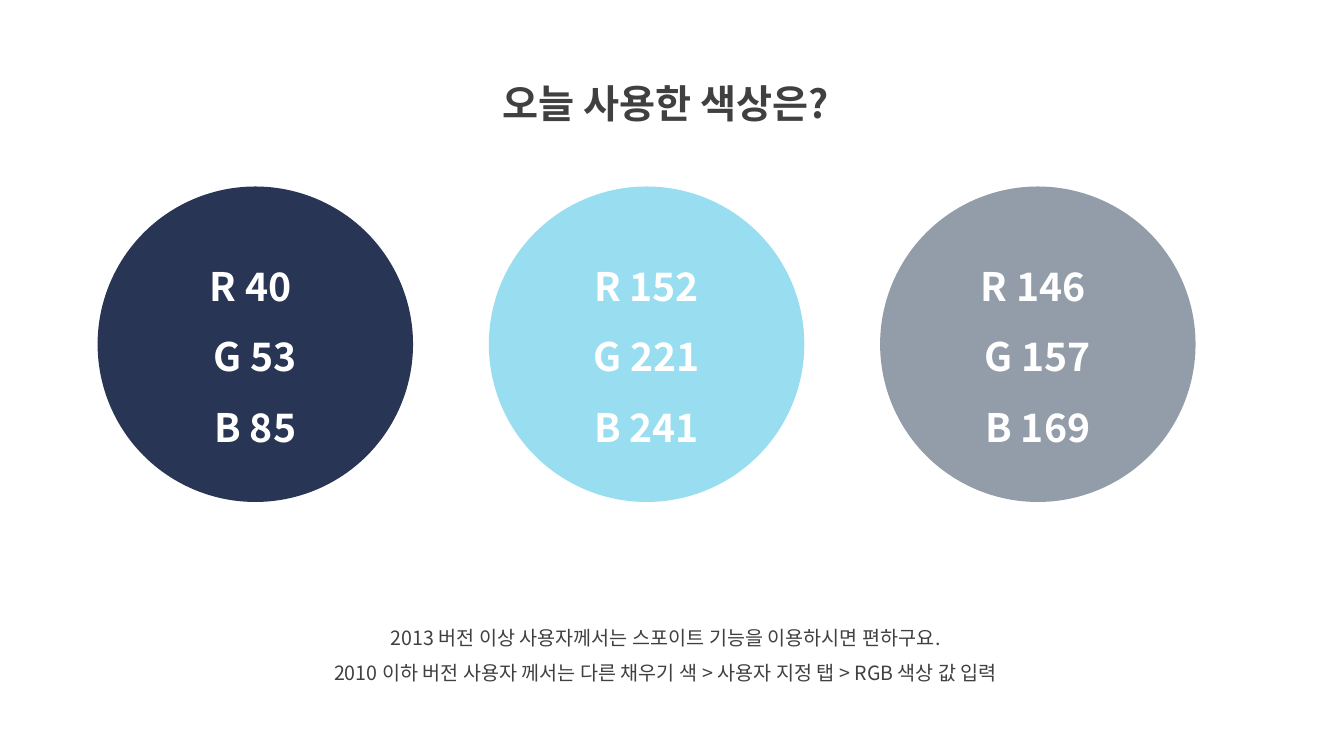
from dataclasses import dataclass

from lxml import etree
from pptx import Presentation, util as u
from pptx.dml.color import RGBColor
from pptx.enum import shapes, text
from pptx.oxml import ns


@dataclass(frozen=True)
class Theme:
    font: str = "Noto Sans CJK KR"
    ink: str = "404040"
    white: str = "FFFFFF"
    navy: str = "283555"
    sky: str = "98DDF0"
    gray: str = "929DA9"
    large: int = 28
    small: int = 14
    line_spacing: float = 1.5


THEME = Theme()

# Circle row, in centimetres
CIRCLE_LEFT, CIRCLE_TOP = 2.46, 4.7
CIRCLE_SIZE, CIRCLE_PITCH = 7.95, 9.86

SWATCHES = [
    (THEME.navy, ["R 40 ", "G 53", "B 85"]),
    (THEME.sky, ["R 152", "G 221", "B 241"]),
    (THEME.gray, ["R 146 ", "G 157", "B 169"]),
]
NOTES = [
    "2013 버전 이상 사용자께서는 스포이트 기능을 이용하시면 편하구요.",
    "2010 이하 버전 사용자 께서는 다른 채우기 색 > 사용자 지정 탭 > RGB 색상 값 입력",
]


def write_lines(frame, lines, size, color, bold):
    """Fill a text frame with one centred paragraph per line."""
    frame.word_wrap = True
    for index, line in enumerate(lines):
        paragraph = frame.add_paragraph() if index else frame.paragraphs[0]
        paragraph.alignment = text.PP_ALIGN.CENTER
        paragraph.line_spacing = THEME.line_spacing
        run = paragraph.add_run()
        run.text = line
        run.font.name = THEME.font
        run.font.size = u.Pt(size)
        run.font.bold = bold
        run.font.color.rgb = RGBColor.from_string(color)
        # Korean glyphs take the East Asian typeface
        east_asian = etree.SubElement(run.font._element, ns.qn("a:ea"))
        east_asian.set("typeface", THEME.font)


def add_text(slide, box, lines, size, bold=False):
    shape = slide.shapes.add_textbox(*(u.Cm(length) for length in box))
    write_lines(shape.text_frame, lines, size, THEME.ink, bold)
    shape.text_frame.auto_size = text.MSO_AUTO_SIZE.SHAPE_TO_FIT_TEXT


def add_swatch(slide, left, color, lines):
    shape = slide.shapes.add_shape(
        shapes.MSO_SHAPE.OVAL, u.Cm(left), u.Cm(CIRCLE_TOP),
        u.Cm(CIRCLE_SIZE), u.Cm(CIRCLE_SIZE))
    shape.shadow.inherit = False
    shape.fill.solid()
    shape.fill.fore_color.rgb = RGBColor.from_string(color)
    shape.line.fill.background()
    shape.text_frame.vertical_anchor = text.MSO_ANCHOR.MIDDLE
    write_lines(shape.text_frame, lines, THEME.large, THEME.white, True)


def main():
    presentation = Presentation()
    presentation.slide_width = u.Cm(33.87)
    presentation.slide_height = u.Cm(19.05)
    slide = presentation.slides.add_slide(presentation.slide_layouts[6])

    # Title and usage notes
    add_text(slide, (10.9, 1.27, 11.76, 1.83), ["오늘 사용한 색상은?"],
             THEME.large, bold=True)
    add_text(slide, (6.63, 15.34, 20.29, 2.06), NOTES, THEME.small)

    # Colour circles
    for index, (color, lines) in enumerate(SWATCHES):
        add_swatch(slide, CIRCLE_LEFT + index * CIRCLE_PITCH, color, lines)

    presentation.save("out.pptx")


if __name__ == "__main__":
    main()
